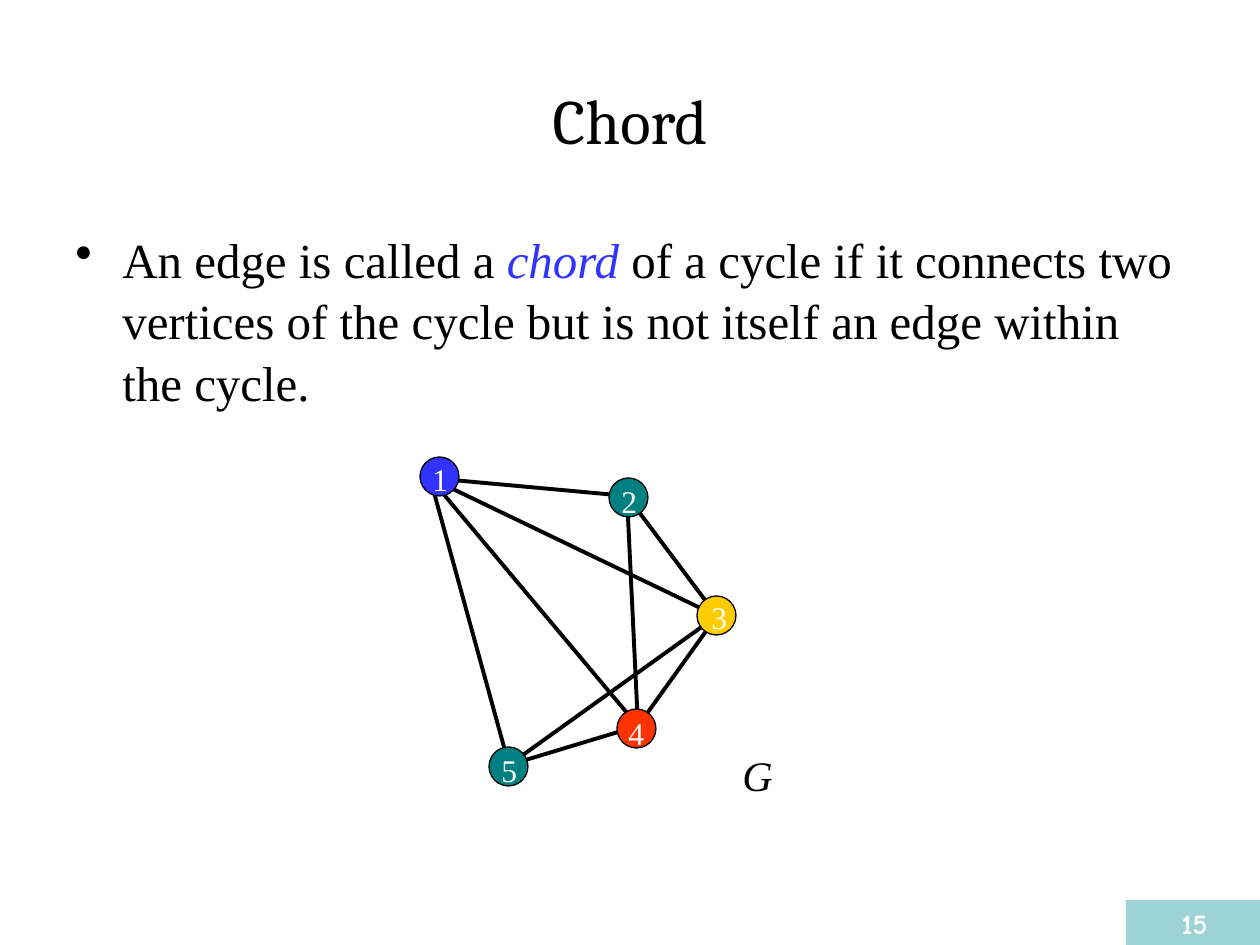
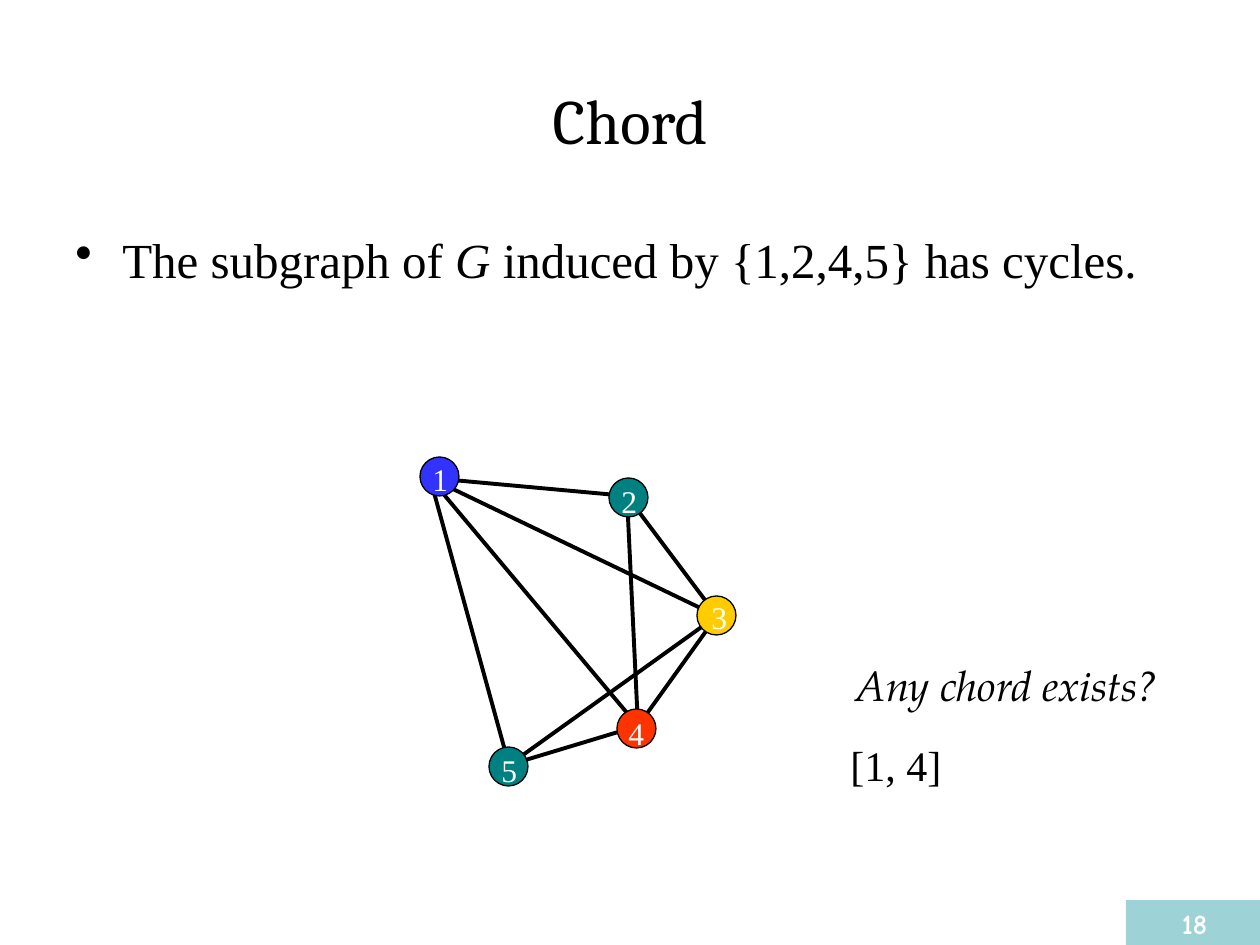
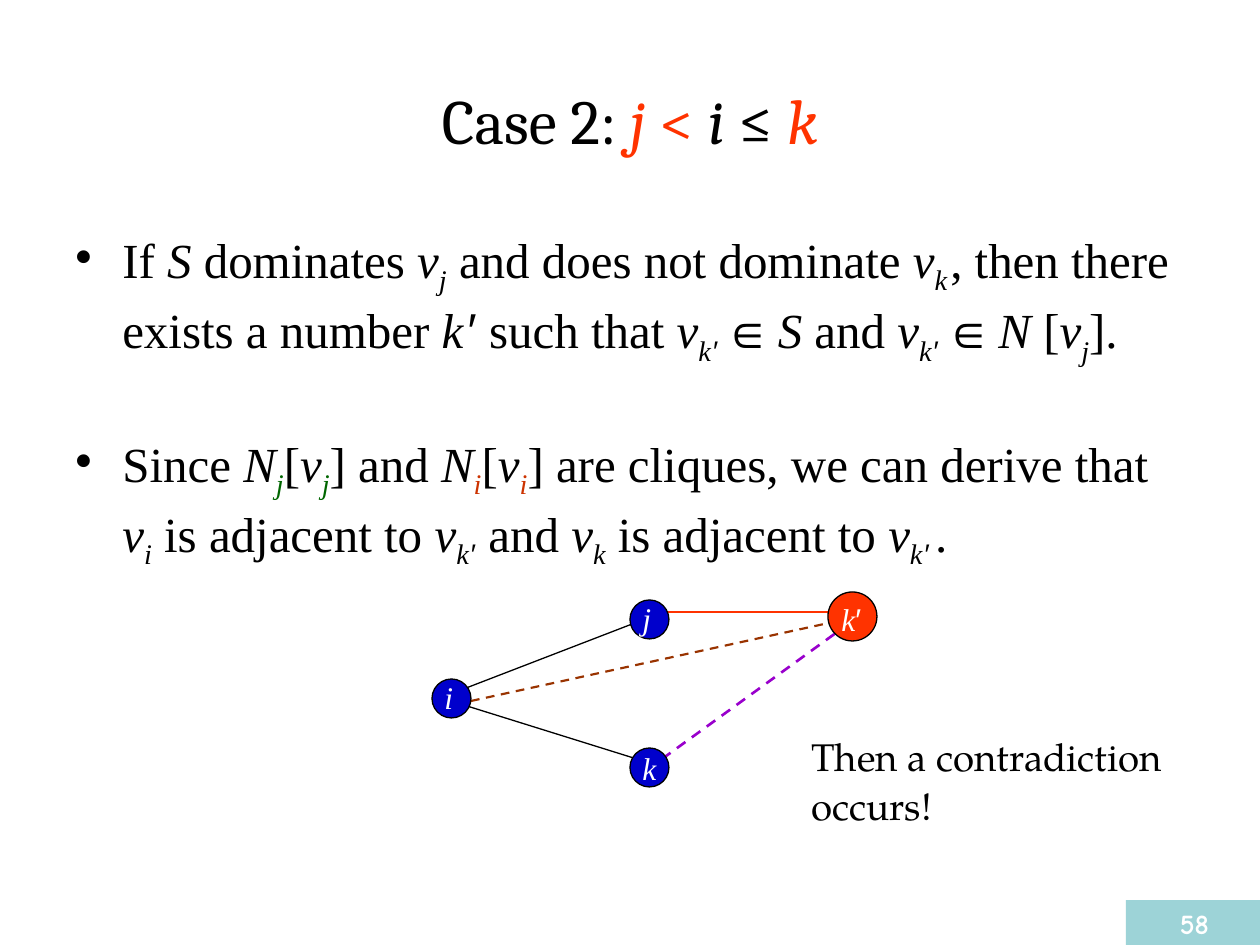
from lxml import etree
from pptx import Presentation
from pptx.dml.color import RGBColor
from pptx.enum.dml import MSO_LINE
from pptx.enum.shapes import MSO_CONNECTOR, MSO_SHAPE
from pptx.enum.text import MSO_ANCHOR, PP_ALIGN
from pptx.oxml.ns import qn
from pptx.util import Emu, Pt

OVAL, RECT = MSO_SHAPE.OVAL, MSO_SHAPE.RECTANGLE
STRAIGHT, DASH = MSO_CONNECTOR.STRAIGHT, MSO_LINE.DASH
LEFT, CENTER = PP_ALIGN.LEFT, PP_ALIGN.CENTER
TOP, MIDDLE = MSO_ANCHOR.TOP, MSO_ANCHOR.MIDDLE

SERIF, HEAD, SIGN = "Times New Roman", "Cambria", "Arial"
BOOK, COMIC = "TeX Gyre Pagella", "Comic Neue"
BLACK, WHITE, RED = "000000", "FFFFFF", "FF3300"
BLUE, TEAL, GOLD, NAVY = "3333FF", "008080", "FFCC00", "0000CC"
BAND, GREEN, RUST = "9DD3D7", "006600", "CC3300"
BROWN, PURPLE = "993300", "9900CC"

TITLE = (63, 38, 1134, 158)
BODY = (63, 220, 1134, 624)
BADGE = (1126, 900, 137, 45)
GRAPH = (420, 457)
CASE = (432, 592)
DISC = 39

ITALIC = {"italic": True}
SUB = {"italic": True, "base": -25}
THIN = {"size": 12}
PRIME = {"font": SIGN, "base": -25}
MEMBER = [(" ", THIN), ("∈", {"font": SIGN}), (" ", THIN)]

VERTS = {
    "1": (0, 0, BLUE, 0, -5),
    "5": (69, 290, TEAL, 0, -4),
    "4": (197, 252, RED, -1, -3),
    "2": (189, 21, TEAL, 0, -4),
    "3": (277, 139, GOLD, 2, -6),
}
ENDS = {"1": (10, 21), "2": (207, 39), "3": (297, 159),
        "4": (218, 269), "5": (89, 308)}
EDGES = ["51", "54", "53", "14", "13", "12", "24", "43", "23"]
SPECKS = [(148, 218), (238, 218)]

PEERS = [("k", 198, 156, -7), ("j", 198, 8, -9), ("i", 0, 87, -9)]
LINKS = [
    ((230, 167), (408, 38), PURPLE, 1.5, True),
    ((39, 109), (406, 29), BROWN, 1.25, True),
    ((228, 20), (406, 20), RED, 1.5, False),
    ((29, 98), (208, 29), BLACK, 0.75, False),
    ((19, 109), (208, 168), BLACK, 0.75, False),
]


def px(num):
    return Emu(round(num * 914400 / 126))


def tint(code):
    return RGBColor.from_string(code)


def vert(name, color=BLACK):
    return [("v", ITALIC), (name, {**SUB, "color": color})]


def hood(name, color):
    return [("N", ITALIC), (name, {**SUB, "color": color}), ("[", {}),
            *vert(name, color)]


def prime():
    return [*vert("k"), (" ", {**SUB, "size": 8}), ("′", PRIME)]


def add_run(para, text, size, font=SERIF, color=BLACK, italic=False,
            bold=False, base=0):
    run = para.add_run()
    run.text = text
    face = run.font
    face.size, face.name = Pt(size), font
    face.italic, face.bold = italic, bold
    face.color.rgb = tint(color)
    if base:
        face._element.set("baseline", str(base * 1000))


def add_dot(para):
    props = para._p.get_or_add_pPr()
    props.set("marL", str(px(47)))
    props.set("indent", str(-px(47)))
    color = etree.SubElement(props, qn("a:buClr"))
    etree.SubElement(color, qn("a:srgbClr"), val=BLACK)
    etree.SubElement(props, qn("a:buChar"), char="•")


def fill_text(shape, paras, size, align=LEFT, anchor=TOP, dots=False,
              gap=0, pitch=1.05, **look):
    frame = shape.text_frame
    frame.word_wrap = True
    frame.vertical_anchor = anchor
    for num, runs in enumerate(paras):
        para = frame.add_paragraph() if num else frame.paragraphs[0]
        if dots:
            add_dot(para)
        para.alignment, para.line_spacing = align, pitch
        if num:
            para.space_before = Pt(gap)
        for text, style in runs:
            add_run(para, text, **{"size": size, **look, **style})


def add_text(shapes, box, paras, size, **look):
    shape = shapes.add_textbox(*map(px, box))
    fill_text(shape, paras, size, **look)


def add_form(shapes, kind, box, fill, edge=None):
    shape = shapes.add_shape(kind, *map(px, box))
    shape.shadow.inherit = False
    shape.fill.solid()
    shape.fill.fore_color.rgb = tint(fill)
    if edge:
        shape.line.color.rgb = tint(edge)
        shape.line.width = Pt(0.75)
    else:
        shape.line.fill.background()
    return shape


def add_line(shapes, spot, start, end, color=BLACK, width=2.25, dash=False):
    x, y = spot
    ends = (x + start[0], y + start[1], x + end[0], y + end[1])
    line = shapes.add_connector(STRAIGHT, *map(px, ends))
    line.line.color.rgb = tint(color)
    line.line.width = Pt(width)
    if dash:
        line.line.dash_style = DASH
    etree.SubElement(line._element.spPr, qn("a:effectLst"))


def add_node(shapes, spot, runs, fill, shift, size=DISC):
    x, y = spot
    group = shapes.add_group_shape().shapes
    add_form(group, OVAL, (x, y, size, size), fill, BLACK)
    box = (x + shift[0], y + shift[1], size + 10, 50)
    add_text(group, box, [runs], 18, color=WHITE)


def add_graph(shapes, spot):
    for speck in SPECKS:
        add_line(shapes, spot, speck, speck)
    for start, end in EDGES:
        add_line(shapes, spot, ENDS[start], ENDS[end])
    for name, (x, y, fill, dx, dy) in VERTS.items():
        place = (spot[0] + x, spot[1] + y)
        add_node(shapes, place, [(name, {})], fill, (dx, dy))


def add_case(shapes, spot):
    for link in LINKS:
        add_line(shapes, spot, *link)
    for name, x, y, dy in PEERS:
        place = (spot[0] + x, spot[1] + y)
        add_node(shapes, place, [(name, ITALIC)], NAVY, (0, dy))
    runs = [("k", ITALIC), ("′", {"font": SIGN})]
    add_node(shapes, (spot[0] + 396, spot[1]), runs, RED, (1, 0), 49)


def add_page(deck, title, body, page):
    shapes = deck.slides.add_slide(deck.slide_layouts[6]).shapes
    add_text(shapes, TITLE, [title], 36, align=CENTER, anchor=MIDDLE,
             font=HEAD)
    add_text(shapes, BODY, body, 28, dots=True, gap=36)
    badge = add_form(shapes, RECT, BADGE, BAND)
    fill_text(badge, [[(page, {})]], 16, align=CENTER, pitch=1.0,
              font=COMIC, color=WHITE, bold=True)
    return shapes


def add_chord(deck):
    body = [
        ("An edge is called a ", {}),
        ("chord", {"italic": True, "color": BLUE}),
        (" of a cycle if it connects two vertices of the cycle but is not "
         "itself an edge within the cycle.", {}),
    ]
    shapes = add_page(deck, [("Chord", {})], [body], "15")
    add_graph(shapes, GRAPH)
    add_text(shapes, (730, 741, 49, 63), [[("G", ITALIC)]], 24, align=CENTER)


def add_query(deck):
    body = [("The subgraph of ", {}), ("G", ITALIC),
            (" induced by {1,2,4,5} has cycles.", {})]
    shapes = add_page(deck, [("Chord", {})], [body], "18")
    add_graph(shapes, GRAPH)
    add_text(shapes, (828, 651, 358, 113), [[("Any chord exists?", ITALIC)]],
             24, align=CENTER, font=BOOK)
    add_text(shapes, (838, 731, 149, 63), [[("[1, 4]", {})]], 24)


def add_proof(deck):
    title = [
        ("Case 2: ", {}),
        ("j", {"italic": True, "color": RED}),
        (" < ", {"color": RED}),
        ("i", ITALIC),
        (" ≤ ", {}),
        ("k", {"italic": True, "color": RED}),
    ]
    first = [
        ("If ", {}), ("S", ITALIC), (" dominates ", {}), *vert("j"),
        (" and does not dominate ", {}), *vert("k"),
        (" ", {**SUB, **THIN}), (", then there exists a number ", {}),
        ("k", ITALIC), (" ", {"italic": True, "size": 10}),
        ("′", {"font": SIGN}), (" such that ", {}), *prime(), *MEMBER,
        ("S", ITALIC), (" and ", {}), *prime(), *MEMBER,
        ("N ", ITALIC), ("[", {}), *vert("j"), ("].", {}),
    ]
    second = [
        ("Since ", {}), *hood("j", GREEN), ("] and ", {}), *hood("i", RUST),
        ("] are cliques, we can derive that ", {}), *vert("i"),
        (" is adjacent to ", {}), *prime(), (" and ", {}), *vert("k"),
        (" is adjacent to ", {}), *prime(), (" ", THIN), (".", {}),
    ]
    shapes = add_page(deck, title, [first, second], "58")
    add_case(shapes, CASE)
    add_text(shapes, (799, 725, 377, 151),
             [[("Then a contradiction occurs!", {})]], 22, font=BOOK)


def main():
    deck = Presentation()
    deck.slide_width, deck.slide_height = px(1260), px(945)
    for build in (add_chord, add_query, add_proof):
        build(deck)
    deck.save("out.pptx")


if __name__ == "__main__":
    main()
